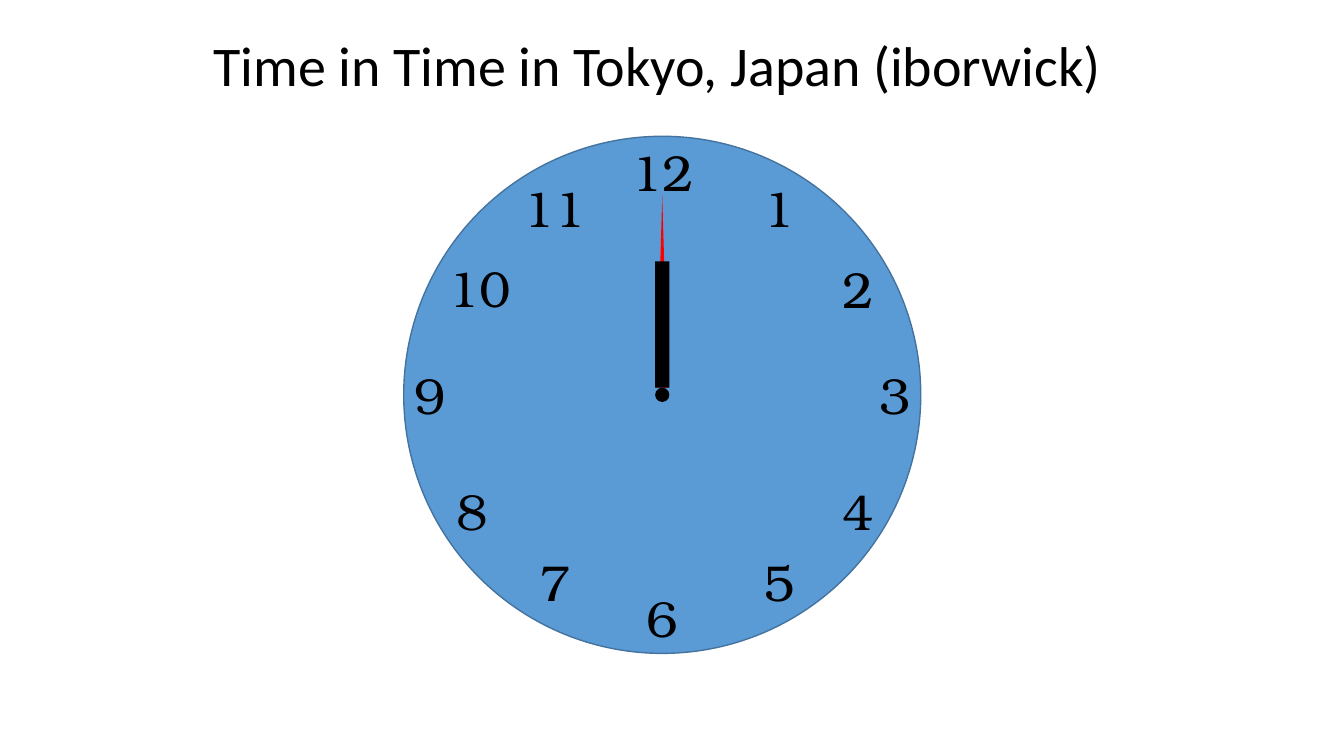
from dataclasses import dataclass

from pptx import Presentation
from pptx.dml.color import RGBColor
from pptx.enum.shapes import MSO_SHAPE as Preset
from pptx.enum.text import MSO_ANCHOR as Anchor, PP_ALIGN as Align
from pptx.slide import Slide
from pptx.text.text import TextFrame
from pptx.util import Cm, Pt

BLACK = "000000"
CENTER_X, CENTER_Y = 16.69, 9.95
FACE_DIAMETER = 13.03
PIVOT_DIAMETER = 0.36
HAND_BOTTOM = CENTER_Y - PIVOT_DIAMETER / 2
DIGIT_WIDTH, NUMERAL_PADDING, NUMERAL_HEIGHT = 0.79, 0.53, 1.8


@dataclass(frozen=True)
class Numeral:
    """An hour and the centre of its text, in centimetres."""
    hour: int
    x: float
    y: float


@dataclass(frozen=True)
class ClockPart:
    """A shape centred on the clock's vertical axis, in centimetres."""
    preset: Preset
    top: float
    width: float
    height: float
    fill: str
    line: str | None = None


NUMERALS = [
    Numeral(12, 16.7, 4.33),
    Numeral(1, 19.63, 5.25),
    Numeral(2, 21.62, 7.28),
    Numeral(3, 22.56, 9.94),
    Numeral(4, 21.62, 12.87),
    Numeral(5, 19.63, 14.67),
    Numeral(6, 16.69, 15.56),
    Numeral(7, 14, 14.67),
    Numeral(8, 11.89, 12.87),
    Numeral(9, 10.85, 9.94),
    Numeral(10, 12.08, 7.25),
    Numeral(11, 13.98, 5.25),
]
FACE = ClockPart(Preset.OVAL, CENTER_Y - FACE_DIAMETER / 2,
                 FACE_DIAMETER, FACE_DIAMETER, "5B9BD5", "43739E")
PIVOT = ClockPart(Preset.OVAL, HAND_BOTTOM, PIVOT_DIAMETER, PIVOT_DIAMETER, BLACK)
MINUTE_HAND = ClockPart(Preset.ISOSCELES_TRIANGLE, HAND_BOTTOM - 4.85,
                        0.28, 4.85, "FF0000")
HOUR_HAND = ClockPart(Preset.RECTANGLE, HAND_BOTTOM - 3.18, 0.36, 3.18, BLACK)


def color(value: str) -> RGBColor:
    return RGBColor.from_string(value)


def write_text(frame: TextFrame, text: str, font_name: str, size: int) -> None:
    frame.text = text
    frame.vertical_anchor = Anchor.TOP
    paragraph = frame.paragraphs[0]
    paragraph.alignment = Align.CENTER
    paragraph.font.name = font_name
    paragraph.font.size = Pt(size)
    paragraph.font.color.rgb = color(BLACK)


def add_title(slide: Slide, text: str) -> None:
    title = slide.shapes.title
    title.left, title.top = Cm(2.74), Cm(0.64)
    title.width, title.height = Cm(27.64), Cm(1.96)
    write_text(title.text_frame, text, "Calibri", 40)


def add_clock_part(slide: Slide, part: ClockPart) -> None:
    shape = slide.shapes.add_shape(
        part.preset, Cm(CENTER_X - part.width / 2), Cm(part.top),
        Cm(part.width), Cm(part.height))
    shape.shadow.inherit = False
    shape.fill.solid()
    shape.fill.fore_color.rgb = color(part.fill)
    if part.line:
        shape.line.color.rgb = color(part.line)
        shape.line.width = Pt(1)
    else:
        shape.line.fill.background()


def add_numeral(slide: Slide, numeral: Numeral) -> None:
    text = str(numeral.hour)
    width = NUMERAL_PADDING + DIGIT_WIDTH * len(text)
    box = slide.shapes.add_textbox(
        Cm(numeral.x - width / 2), Cm(numeral.y - NUMERAL_HEIGHT / 2),
        Cm(width), Cm(NUMERAL_HEIGHT))
    box.text_frame.word_wrap = False
    write_text(box.text_frame, text, "TeX Gyre Bonum", 36)


def main() -> None:
    presentation = Presentation()
    presentation.slide_width, presentation.slide_height = Cm(33.87), Cm(19.05)
    title_only = presentation.slide_layouts[5]
    slide = presentation.slides.add_slide(title_only)
    add_title(slide, "Time in Time in Tokyo, Japan (iborwick)")
    add_clock_part(slide, FACE)
    for numeral in NUMERALS:
        add_numeral(slide, numeral)
    for part in (PIVOT, MINUTE_HAND, HOUR_HAND):
        add_clock_part(slide, part)
    presentation.save("out.pptx")


if __name__ == "__main__":
    main()
